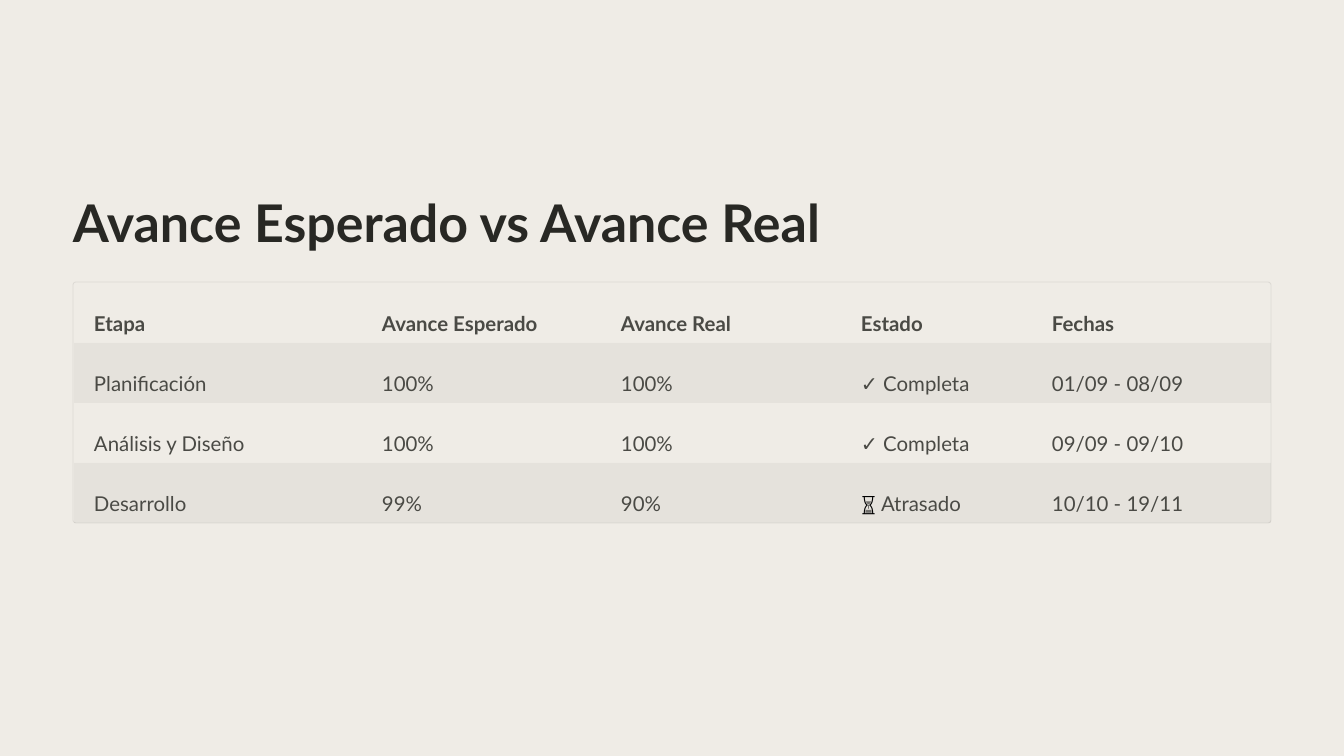
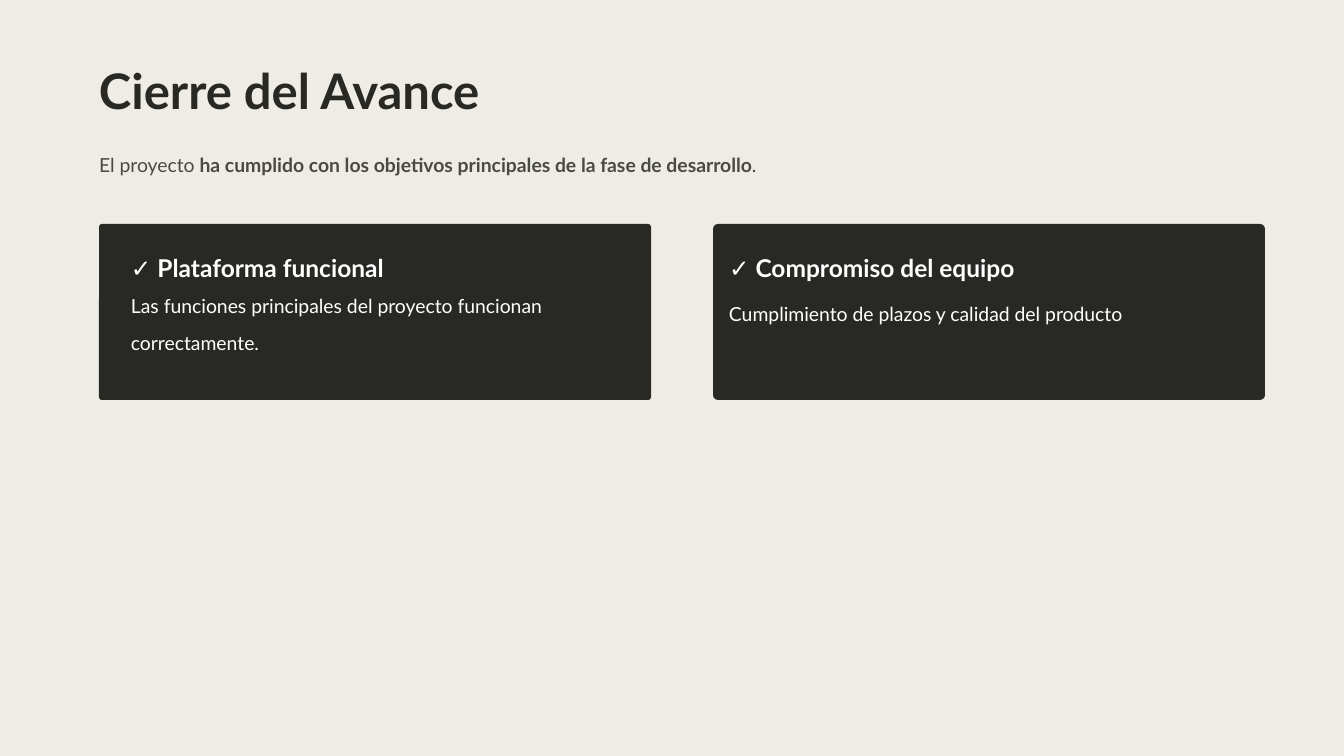
from dataclasses import dataclass

from lxml.etree import SubElement
from pptx import Presentation
from pptx.dml.color import RGBColor
from pptx.enum.shapes import MSO_SHAPE
from pptx.enum.text import MSO_ANCHOR
from pptx.oxml.ns import qn
from pptx.util import Emu, Pt

PX_PER_INCH = 84
NO_GRID_STYLE = "{2D5ABB26-0587-4C30-8999-92F81FD0307C}"


@dataclass(frozen=True)
class Theme:
    font: str = "Lato"
    paper: str = "EFECE6"
    ink: str = "282824"
    body: str = "4A4A45"
    white: str = "FFFFFF"
    black: str = "000000"
    table_title_size: float = 44.5
    title_size: float = 42
    heading_size: float = 21
    table_size: float = 17.5
    body_size: float = 16.6
    title_spacing: float = 1.25
    heading_spacing: float = 1.24
    table_spacing: float = 1.63
    body_spacing: float = 1.61
    band_opacity: int = 4
    outline_opacity: int = 7


THEME = Theme()


@dataclass(frozen=True)
class Area:
    left: int
    top: int
    width: int
    height: int

    def emu(self):
        return tuple(px(n) for n in (self.left, self.top, self.width, self.height))


@dataclass(frozen=True)
class Span:
    text: str
    bold: bool = False
    color: str = ""


@dataclass(frozen=True)
class Card:
    area: Area
    radius: int
    heading: str
    heading_area: Area
    detail: str
    detail_area: Area


COLUMN_WIDTHS = (288, 239, 240, 191, 239)
ROW_HEIGHT = 60
STAGES = (
    ("Etapa", "Avance Esperado", "Avance Real", "Estado", "Fechas"),
    ("Planificación", "100%", "100%", "✓ Completa", "01/09 - 08/09"),
    ("Análisis y Diseño", "100%", "100%", "✓ Completa", "09/09 - 09/10"),
    ("Desarrollo", "99%", "90%", (Span("⏳", color=THEME.black), Span(" Atrasado")),
     "10/10 - 19/11"),
)
CARDS = (
    Card(Area(99, 224, 552, 176), 3,
         "✓ Plataforma funcional", Area(131, 246, 395, 31),
         "Las funciones principales del proyecto funcionan correctamente.",
         Area(131, 280, 488, 63)),
    Card(Area(713, 224, 552, 176), 5,
         "✓ Compromiso del equipo", Area(729, 246, 324, 49),
         "Cumplimiento de plazos y calidad del producto",
         Area(729, 288, 521, 49)),
)


def px(length: int) -> Emu:
    return Emu(round(length * 914400 / PX_PER_INCH))


def rgb(color: str) -> RGBColor:
    return RGBColor.from_string(color)


def set_opacity(element, percent: int) -> None:
    """Make every colour inside a shape's properties translucent."""
    for color in element.iter(qn("a:srgbClr")):
        SubElement(color, qn("a:alpha")).set("val", str(percent * 1000))


def write(frame, text: str | tuple[Span, ...], *, size: float, color: str,
          spacing: float, bold: bool = False) -> None:
    """Fill a text frame with one paragraph, given as a string or as spans."""
    spans = (Span(text, bold),) if isinstance(text, str) else text
    frame.word_wrap = True
    para = frame.paragraphs[0]
    para.line_spacing = spacing
    for span in spans:
        run = para.add_run()
        run.text = span.text
        run.font.name = THEME.font
        run.font.size = Pt(size)
        run.font.bold = span.bold
        run.font.color.rgb = rgb(span.color or color)


def add_text(page, area: Area, text: str | tuple[Span, ...], **text_format) -> None:
    frame = page.shapes.add_textbox(*area.emu()).text_frame
    frame.margin_left = frame.margin_top = frame.margin_right = frame.margin_bottom = 0
    write(frame, text, **text_format)


def add_title(page, area: Area, text: str, size: float) -> None:
    add_text(page, area, text, size=size, color=THEME.ink,
             spacing=THEME.title_spacing, bold=True)


def add_panel(page, area: Area, *, radius: int = 0, fill: str = ""):
    """Add a lineless rectangle, rounded if it has a radius, filled if it has a colour."""
    preset = MSO_SHAPE.ROUNDED_RECTANGLE if radius else MSO_SHAPE.RECTANGLE
    panel = page.shapes.add_shape(preset, *area.emu())
    panel.shadow.inherit = False
    panel.line.fill.background()
    if radius:
        panel.adjustments[0] = radius / min(area.width, area.height)
    if fill:
        panel.fill.solid()
        panel.fill.fore_color.rgb = rgb(fill)
    else:
        panel.fill.background()
    return panel


def add_table_backdrop(page, area: Area) -> None:
    outline = add_panel(
        page, Area(area.left - 1, area.top - 1, area.width + 1, area.height + 1), radius=3)
    outline.line.color.rgb = rgb(THEME.black)
    outline.line.width = Pt(0.75)
    set_opacity(outline.element.spPr, THEME.outline_opacity)
    for row_number in range(len(STAGES)):
        top = area.top + row_number * ROW_HEIGHT
        band = add_panel(page, Area(area.left, top, area.width, ROW_HEIGHT),
                         fill=THEME.black if row_number % 2 else THEME.white)
        set_opacity(band.element.spPr, THEME.band_opacity)


def add_stage_table(page, left: int, top: int) -> None:
    area = Area(left, top, sum(COLUMN_WIDTHS), ROW_HEIGHT * len(STAGES))
    add_table_backdrop(page, area)
    frame = page.shapes.add_table(len(STAGES), len(COLUMN_WIDTHS), *area.emu())
    table = frame.table
    table.first_row = table.horz_banding = False
    next(frame.element.iter(qn("a:tableStyleId"))).text = NO_GRID_STYLE
    for column, width in zip(table.columns, COLUMN_WIDTHS):
        column.width = px(width)
    for row_number, (row, texts) in enumerate(zip(table.rows, STAGES)):
        row.height = px(ROW_HEIGHT)
        for cell, text in zip(row.cells, texts):
            cell.margin_left = cell.margin_right = px(20)
            cell.margin_top, cell.margin_bottom = px(13), 0
            cell.vertical_anchor = MSO_ANCHOR.TOP
            cell.fill.background()
            write(cell.text_frame, text, size=THEME.table_size, color=THEME.body,
                  spacing=THEME.table_spacing, bold=row_number == 0)


def add_card(page, card: Card) -> None:
    add_panel(page, card.area, radius=card.radius, fill=THEME.ink)
    add_text(page, card.heading_area, card.heading, size=THEME.heading_size,
             color=THEME.white, spacing=THEME.heading_spacing, bold=True)
    add_text(page, card.detail_area, card.detail, size=THEME.body_size,
             color=THEME.white, spacing=THEME.body_spacing)


def add_page(deck):
    page = deck.slides.add_slide(deck.slide_layouts[6])
    page.background.fill.solid()
    page.background.fill.fore_color.rgb = rgb(THEME.paper)
    return page


def build_progress(deck) -> None:
    page = add_page(deck)
    add_title(page, Area(73, 175, 755, 66), "Avance Esperado vs Avance Real",
              THEME.table_title_size)
    add_stage_table(page, 74, 283)


def build_closing(deck) -> None:
    page = add_page(deck)
    add_title(page, Area(99, 46, 774, 61), "Cierre del Avance", THEME.title_size)
    summary = (
        Span("El proyecto "),
        Span("ha cumplido con los objetivos principales de la fase de desarrollo", bold=True),
        Span("."),
    )
    add_text(page, Area(99, 139, 1113, 63), summary, size=THEME.body_size,
             color=THEME.body, spacing=THEME.body_spacing)
    for card in CARDS:
        add_card(page, card)


def main() -> None:
    deck = Presentation()
    deck.slide_width, deck.slide_height = px(1344), px(756)
    build_progress(deck)
    build_closing(deck)
    deck.save("out.pptx")


if __name__ == "__main__":
    main()
